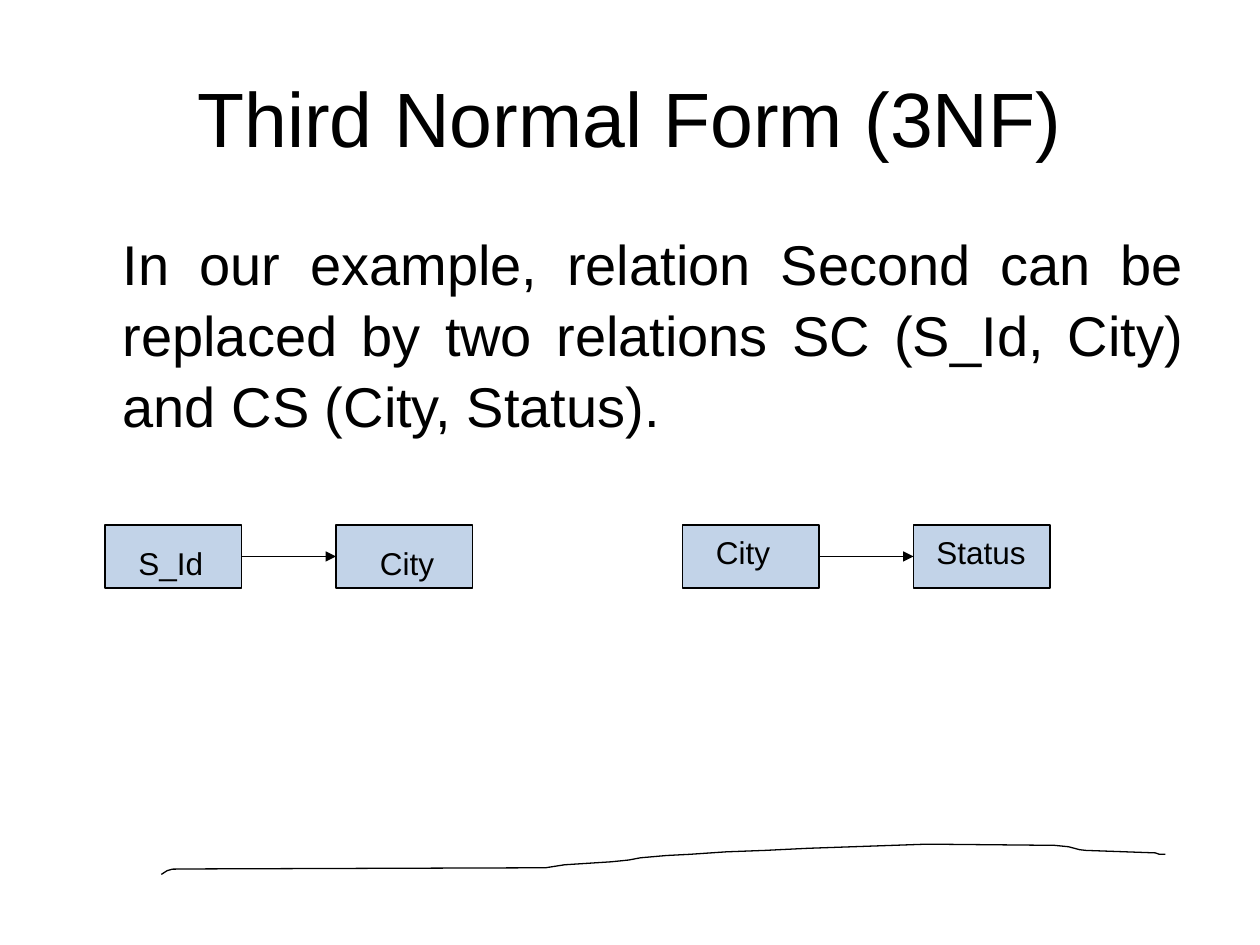
from lxml.etree import SubElement
from pptx import Presentation
from pptx.dml.color import RGBColor
from pptx.enum.shapes import MSO_CONNECTOR, MSO_SHAPE
from pptx.enum.text import MSO_ANCHOR, PP_ALIGN
from pptx.oxml.ns import qn
from pptx.util import Pt

COLORS = {"ink": "000000", "box": "C2D3E8"}
FONT = "Arial"
LINE_WIDTH = 0.75

BOX_TOP, BOX_WIDTH, BOX_HEIGHT = 300, 78, 36
BOX_STEP = 132
# Left edge of each dependency, then (text, left, top) of its two labels
DEPENDENCIES = [
    (60, [("S_Id", 72, 306), ("City", 210, 306)]),
    (390, [("City", 402, 300), ("Status", 528, 300)]),
]
STROKE = [
    (92.2, 499.7), (95.5, 497.6), (98.5, 496.7), (107.3, 496.6),
    (311.8, 495.9), (322.6, 494.2), (349.2, 492.5), (359.3, 491.5),
    (366, 490.2), (380.9, 488.9), (394.6, 488.2), (415, 486.8),
    (437, 486), (461.5, 484.8), (529.9, 482.4), (602.6, 483.1),
    (610.6, 483.9), (617, 485.6), (620.6, 486), (660.2, 487.4),
    (662.5, 488.2), (666, 488.2),
]


class SlideBuilder:
    def __init__(self, slide):
        self.slide = slide

    def color(self, name):
        return RGBColor.from_string(COLORS[name])

    def outline(self, shape):
        shape.line.color.rgb = self.color("ink")
        shape.line.width = Pt(LINE_WIDTH)

    def text(self, words, left, top, width, height, size,
             align=PP_ALIGN.LEFT, anchor=MSO_ANCHOR.TOP, spacing=1.05):
        box = self.slide.shapes.add_textbox(Pt(left), Pt(top), Pt(width), Pt(height))
        frame = box.text_frame
        frame.word_wrap = True
        frame.vertical_anchor = anchor
        frame.text = words
        para = frame.paragraphs[0]
        para.alignment = align
        para.line_spacing = spacing
        para.font.name = FONT
        para.font.size = Pt(size)
        para.font.color.rgb = self.color("ink")

    def rectangle(self, left, top, width, height):
        box = self.slide.shapes.add_shape(
            MSO_SHAPE.RECTANGLE, Pt(left), Pt(top), Pt(width), Pt(height))
        box.shadow.inherit = False
        box.fill.solid()
        box.fill.fore_color.rgb = self.color("box")
        self.outline(box)
        return box

    def arrow(self, source, target):
        """Join the right side of source to the left side of target."""
        arrow = self.slide.shapes.add_connector(MSO_CONNECTOR.STRAIGHT, 0, 0, 0, 0)
        arrow.begin_connect(source, 3)
        arrow.end_connect(target, 1)
        self.outline(arrow)
        SubElement(arrow.line._get_or_add_ln(), qn("a:tailEnd"), type="triangle")
        SubElement(arrow._element.spPr, qn("a:effectLst"))

    def stroke(self, points):
        """Draw an open, unfilled line through the points."""
        start, *rest = [(Pt(x), Pt(y)) for x, y in points]
        builder = self.slide.shapes.build_freeform(*start)
        builder.add_line_segments(rest, close=False)
        line = builder.convert_to_shape()
        line.shadow.inherit = False
        line.fill.background()
        self.outline(line)


def main():
    deck = Presentation()
    deck.slide_width, deck.slide_height = Pt(720), Pt(540)
    page = SlideBuilder(deck.slides.add_slide(deck.slide_layouts[6]))

    page.stroke(STROKE)
    page.text("Third Normal Form (3NF)", 36, 21.6, 648, 90, 44,
              PP_ALIGN.CENTER, MSO_ANCHOR.MIDDLE, 1)
    page.text("In our example, relation Second can be replaced by two relations "
              "SC (S_Id, City) and CS (City, Status).",
              63, 126, 621, 390, 32, PP_ALIGN.JUSTIFY)

    for left, labels in DEPENDENCIES:
        source, target = [
            page.rectangle(left + column * BOX_STEP, BOX_TOP, BOX_WIDTH, BOX_HEIGHT)
            for column in range(2)
        ]
        page.arrow(source, target)
        for words, label_left, label_top in labels:
            page.text(words, label_left, label_top, 66, 28.8, 18)

    deck.save("out.pptx")


if __name__ == "__main__":
    main()
